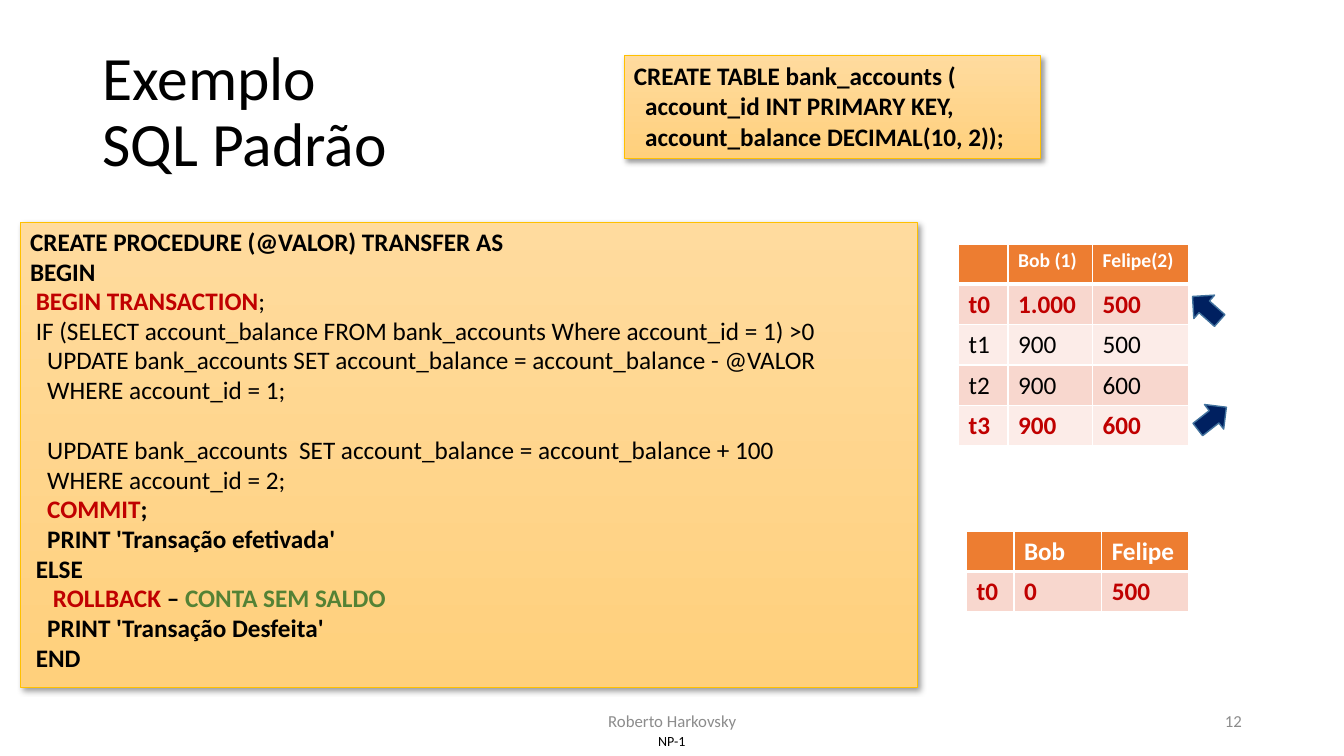
"""Build the slide on a bank transfer transaction in SQL."""
from dataclasses import dataclass

from lxml import etree
from pptx import Presentation
from pptx.dml.color import RGBColor
from pptx.enum.shapes import MSO_SHAPE
from pptx.enum.text import MSO_ANCHOR, PP_ALIGN
from pptx.oxml.ns import qn
from pptx.util import Emu, Inches, Pt

RECTANGLE, DOWN_ARROW = MSO_SHAPE.RECTANGLE, MSO_SHAPE.DOWN_ARROW
TOP, MIDDLE = MSO_ANCHOR.TOP, MSO_ANCHOR.MIDDLE
LEFT, CENTER, RIGHT = PP_ALIGN.LEFT, PP_ALIGN.CENTER, PP_ALIGN.RIGHT
FONT = "Calibri"
COLORS = {
    "text": "000000", "keyword": "C00000", "remark": "548235", "muted": "8C8C8C",
    "white": "FFFFFF", "header": "ED7D31", "odd": "F8D7CE", "even": "FCECE8",
    "code_top": "FFDB9E", "code_bottom": "FFD07C", "code_line": "FFC000",
    "arrow": "002060", "arrow_line": "43739E",
}
SLIDE_WIDTH, SLIDE_HEIGHT = Inches(13.333), Inches(7.5)
COLUMNS, ROWS = 160, 90
SPACE_WIDTH = Pt(4.07)
TABLE_ROW = 4.8


@dataclass(frozen=True)
class Box:
    """Place in grid columns and rows."""
    column: float
    row: float
    columns: float
    rows: float

    def emu(self) -> tuple[Emu, Emu, Emu, Emu]:
        """Return left, top, width and height."""
        return across(self.column), down(self.row), across(self.columns), down(self.rows)


@dataclass(frozen=True)
class Run:
    """Text in one style."""
    text: str
    color: str = "text"
    bold: bool = False
    size: float = 18


@dataclass(frozen=True)
class Line:
    """Paragraph with its indent in spaces and the gap above in points."""
    runs: tuple[Run, ...]
    indent: int = 0
    gap: float = 0


@dataclass(frozen=True)
class Label:
    """Plain text on the slide."""
    box: Box
    run: Run
    align: PP_ALIGN = CENTER
    spacing: float = 1
    margins: bool = True


@dataclass(frozen=True)
class CodePanel:
    """Shaded panel with lines of code."""
    box: Box
    lines: tuple[Line, ...]
    spacing: float = 1


@dataclass(frozen=True)
class BalanceTable:
    """Balances of the accounts over time."""
    column: float
    row: float
    widths: tuple[float, ...]
    header_size: float
    cells: tuple[tuple[str, ...], ...]
    marked_rows: tuple[int, ...]


@dataclass(frozen=True)
class Pointer:
    """Arrow beside a table row."""
    box: Box
    angle: float


def across(columns: float) -> Emu:
    """Turn grid columns into a length."""
    return Emu(round(SLIDE_WIDTH * columns / COLUMNS))


def down(rows: float) -> Emu:
    """Turn grid rows into a length."""
    return Emu(round(SLIDE_HEIGHT * rows / ROWS))


def rgb(name: str) -> RGBColor:
    """Look up a colour."""
    return RGBColor.from_string(COLORS[name])


def plain(text: str, indent: int = 0, gap: float = 0) -> Line:
    """Make a regular line of code."""
    return Line((Run(text),), indent, gap)


def strong(text: str, indent: int = 0) -> Line:
    """Make a bold line of code."""
    return Line((Run(text, bold=True),), indent)


def write(frame, lines: tuple[Line, ...], align: PP_ALIGN = LEFT, spacing: float = 1) -> None:
    """Fill a text frame run by run."""
    frame.word_wrap = True
    for index, line in enumerate(lines):
        paragraph = frame.add_paragraph() if index else frame.paragraphs[0]
        paragraph.alignment, paragraph.line_spacing = align, spacing
        paragraph.space_before = Pt(line.gap)
        if line.indent:
            paragraph._p.get_or_add_pPr().set("marL", str(line.indent * SPACE_WIDTH))
        for part in line.runs:
            for piece_index, piece in enumerate(part.text.split("\n")):
                if piece_index:
                    paragraph.add_line_break()
                run = paragraph.add_run()
                run.text = piece
                run.font.name, run.font.size = FONT, Pt(part.size)
                run.font.bold, run.font.color.rgb = part.bold, rgb(part.color)


def draw_label(slide, label: Label) -> None:
    """Draw plain text."""
    frame = slide.shapes.add_textbox(*label.box.emu()).text_frame
    frame.vertical_anchor = MIDDLE
    if not label.margins:
        frame.margin_left = frame.margin_right = frame.margin_top = frame.margin_bottom = 0
    write(frame, (Line((label.run,)),), label.align, label.spacing)


def draw_code(slide, panel: CodePanel) -> None:
    """Draw a shaded code panel."""
    shape = slide.shapes.add_shape(RECTANGLE, *panel.box.emu())
    shape.fill.gradient()
    shape.fill.gradient_angle = 270
    for stop, name in zip(shape.fill.gradient_stops, ("code_top", "code_bottom")):
        stop.color.rgb = rgb(name)
    shape.line.color.rgb, shape.line.width = rgb("code_line"), Pt(0.5)
    shape.shadow.inherit = False
    effects = shape._element.spPr.find(qn("a:effectLst"))
    shadow = etree.SubElement(effects, qn("a:outerShdw"), blurRad=str(Pt(4)), dist=str(Pt(3)),
                              dir="2700000", algn="tl", rotWithShape="0")
    shade = etree.SubElement(shadow, qn("a:srgbClr"), val=COLORS["text"])
    etree.SubElement(shade, qn("a:alpha"), val="40000")
    shape.text_frame.vertical_anchor = TOP
    write(shape.text_frame, panel.lines, spacing=panel.spacing)


def set_borders(cell, row: int) -> None:
    """Rule a cell in white, thicker under the header."""
    widths = {"lnL": 1, "lnR": 1, "lnT": 3 if row == 1 else 1, "lnB": 3 if row == 0 else 1}
    properties = cell._tc.get_or_add_tcPr()
    for index, (side, width) in enumerate(widths.items()):
        border = etree.Element(qn(f"a:{side}"), w=str(Pt(width)))
        solid = etree.SubElement(border, qn("a:solidFill"))
        etree.SubElement(solid, qn("a:srgbClr"), val=COLORS["white"])
        properties.insert(index, border)


def draw_table(slide, balances: BalanceTable) -> None:
    """Draw a table of balances."""
    count = len(balances.cells)
    box = Box(balances.column, balances.row, sum(balances.widths), TABLE_ROW * count)
    table = slide.shapes.add_table(count, len(balances.widths), *box.emu()).table
    for column, width in zip(table.columns, balances.widths):
        column.width = across(width)
    for row, texts in enumerate(balances.cells):
        table.rows[row].height = down(TABLE_ROW)
        marked = row in balances.marked_rows
        color = "white" if row == 0 else "keyword" if marked else "text"
        size = balances.header_size if row == 0 else 18
        for column, text in enumerate(texts):
            cell = table.cell(row, column)
            cell.fill.solid()
            cell.fill.fore_color.rgb = rgb("header" if row == 0 else "odd" if row % 2 else "even")
            set_borders(cell, row)
            if text:
                write(cell.text_frame, (Line((Run(text, color, row == 0 or marked, size),)),))


def draw_pointer(slide, pointer: Pointer) -> None:
    """Draw a turned arrow."""
    arrow = slide.shapes.add_shape(DOWN_ARROW, *pointer.box.emu())
    arrow.rotation, arrow.shadow.inherit = pointer.angle, False
    arrow.fill.solid()
    arrow.fill.fore_color.rgb = rgb("arrow")
    arrow.line.color.rgb, arrow.line.width = rgb("arrow_line"), Pt(1)


LABELS = (
    Label(Box(76.56, 86.52, 6.84, 3.48), Run("NP-1", size=10), margins=False),
    Label(Box(11.04, 4.8, 138, 17.4), Run("Exemplo\nSQL Padrão", size=44), LEFT, 0.9),
    Label(Box(53.04, 83.4, 54, 4.8), Run("Roberto Harkovsky", "muted", size=12)),
    Label(Box(113.04, 83.4, 36, 4.8), Run("12", "muted", size=12), RIGHT),
)
CODE_PANELS = (
    CodePanel(Box(2.4, 26.52, 106.8, 55.32), (
        strong("CREATE PROCEDURE (@VALOR) TRANSFER AS"),
        strong("BEGIN"),
        Line((Run("BEGIN TRANSACTION", "keyword", True), Run(";")), 1),
        plain("IF (SELECT account_balance FROM bank_accounts Where account_id = 1) >0", 1),
        plain("UPDATE bank_accounts SET account_balance = account_balance - @VALOR", 3),
        plain("WHERE account_id = 1;", 3),
        plain("UPDATE bank_accounts  SET account_balance = account_balance + 100", 3, 21.6),
        plain("WHERE account_id = 2;", 3),
        Line((Run("COMMIT", "keyword", True), Run(";", bold=True)), 3),
        strong("PRINT 'Transação efetivada'", 3),
        strong("ELSE", 1),
        Line((Run("ROLLBACK", "keyword", True), Run(" – ", bold=True),
              Run("CONTA SEM SALDO", "remark", True)), 4),
        strong("PRINT 'Transação Desfeita'", 3),
        strong("END", 1),
    ), 0.98),
    CodePanel(Box(74.28, 6.6, 49.56, 12.24), (
        strong("CREATE TABLE bank_accounts ("),
        strong("account_id INT PRIMARY KEY,", 2),
        strong("account_balance DECIMAL(10, 2));", 2),
    )),
)
BALANCE_TABLES = (
    BalanceTable(114.12, 29.04, (5.88, 10.08, 11.4), 14, (
        ("", "Bob (1)", "Felipe(2)"), ("t0", "1.000", "500"), ("t1", "900", "500"),
        ("t2", "900", "600"), ("t3", "900", "600")), (1, 4)),
    BalanceTable(115.08, 63.24, (5.64, 10.44, 10.32), 18, (
        ("", "Bob", "Felipe"), ("t0", "0", "500")), (1,)),
)
POINTERS = (
    Pointer(Box(142.44, 47.64, 3.72, 4.32), 232),
    Pointer(Box(141.72, 34.56, 3.72, 4.32), 131.6),
)


def main() -> None:
    """Build and save the slide."""
    deck = Presentation()
    deck.slide_width, deck.slide_height = SLIDE_WIDTH, SLIDE_HEIGHT
    slide = deck.slides.add_slide(deck.slide_layouts[6])
    for items, draw in ((LABELS, draw_label), (CODE_PANELS, draw_code),
                        (BALANCE_TABLES, draw_table), (POINTERS, draw_pointer)):
        for item in items:
            draw(slide, item)
    deck.save("out.pptx")


if __name__ == "__main__":
    main()
